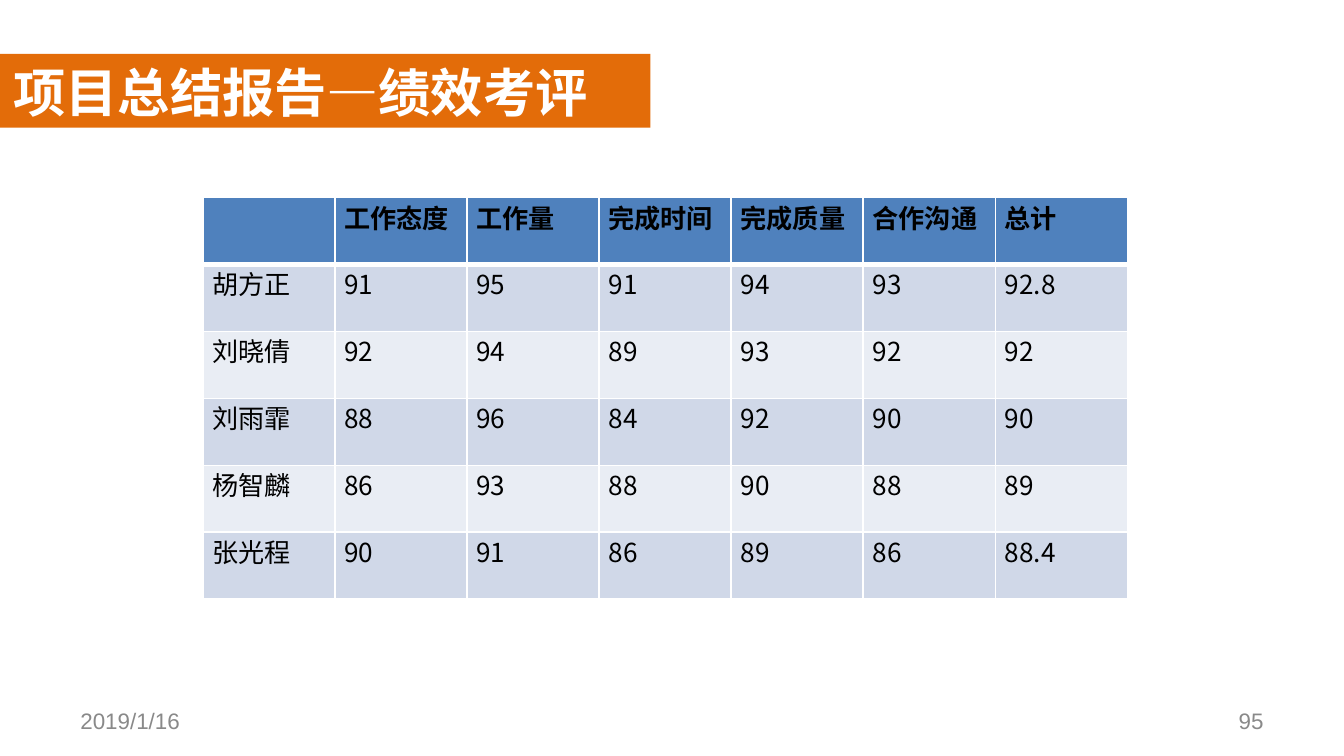
from pptx import Presentation
from pptx.dml.color import RGBColor
from pptx.enum.shapes import MSO_SHAPE
from pptx.enum.text import MSO_ANCHOR, MSO_AUTO_SIZE, PP_ALIGN
from pptx.oxml.ns import qn
from pptx.util import Inches, Pt
from lxml import etree

RECT = MSO_SHAPE.RECTANGLE
TOP, MID = MSO_ANCHOR.TOP, MSO_ANCHOR.MIDDLE
LEFT, RIGHT, JUST = PP_ALIGN.LEFT, PP_ALIGN.RIGHT, PP_ALIGN.JUSTIFY
FIT = MSO_AUTO_SIZE.SHAPE_TO_FIT_TEXT

HEX = {"white": "FFFFFF", "bar": "E36C09", "gray": "898989", "black": "000000",
       "head": "4F81BD", "odd": "D0D8E8", "even": "E9EDF4"}
INK = {name: RGBColor.from_string(code) for name, code in HEX.items()}


def write(frame, text, size=14, font="Arial", color="black", bold=False,
          align=LEFT, anchor=TOP):
    frame.word_wrap = True
    frame.vertical_anchor = anchor
    para = frame.paragraphs[0]
    para.alignment = align
    run = para.add_run()
    run.text = text
    run.font.size = Pt(size)
    run.font.name = font
    run.font.bold = bold
    run.font.color.rgb = INK[color]


def edge(cell, sides):
    props = cell._tc.get_or_add_tcPr()
    for spot, (side, width) in enumerate(sides.items()):
        line = etree.Element(qn("a:ln" + side), w=str(Pt(width)))
        fill = etree.SubElement(line, qn("a:solidFill"))
        etree.SubElement(fill, qn("a:srgbClr"), val=HEX["white"])
        props.insert(spot, line)


deck = Presentation()
deck.slide_width = Inches(10)
deck.slide_height = Inches(10 * 9 / 16)
slide = deck.slides.add_slide(deck.slide_layouts[5])
shapes = slide.shapes

for top, width, height, color in [(0.69, 10, 4.49, "white"), (0.4, 4.84, 0.55, "bar")]:
    band = shapes.add_shape(RECT, 0, Inches(top), Inches(width), Inches(height))
    band.shadow.inherit = False
    band.fill.solid()
    band.fill.fore_color.rgb = INK[color]
    band.line.fill.background()
    if color == "white":
        tint = band.fill._xPr.find(".//" + qn("a:srgbClr"))
        etree.SubElement(tint, qn("a:alpha")).set("val", "50000")

title = shapes.title
title.left, title.top = 0, Inches(0.4)
title.width, title.height = Inches(4.84), Inches(0.57)
write(title.text_frame, "项目总结报告—绩效考评", size=28, font="Calibri",
      color="white", bold=True)
title.text_frame.auto_size = FIT
shapes._spTree.append(title._element)

for left, text, align in [(0.5, "2019/1/16", LEFT), (7.17, "95", RIGHT)]:
    foot = shapes.add_textbox(Inches(left), Inches(5.21), Inches(2.33), Inches(0.3))
    write(foot.text_frame, text, size=12, color="gray", align=align, anchor=MID)

rows = [
    ["", "工作态度", "工作量", "完成时间", "完成质量", "合作沟通", "总计"],
    ["胡方正", "91", "95", "91", "94", "93", "92.8"],
    ["刘晓倩", "92", "94", "89", "93", "92", "92"],
    ["刘雨霏", "88", "96", "84", "92", "90", "90"],
    ["杨智麟", "86", "93", "88", "90", "88", "89"],
    ["张光程", "90", "91", "86", "89", "86", "88.4"],
]
grid = shapes.add_table(len(rows), len(rows[0]), Inches(1.51), Inches(1.47),
                        Inches(6.88), Inches(2.99)).table
for r, row in enumerate(rows):
    fill = "head" if r == 0 else "odd" if r % 2 else "even"
    for c, text in enumerate(row):
        cell = grid.cell(r, c)
        cell.fill.solid()
        cell.fill.fore_color.rgb = INK[fill]
        cell.margin_left = cell.margin_right = Inches(0.07)
        cell.margin_top = cell.margin_bottom = 0
        edge(cell, {"L": 1, "R": 1, "T": 3 if r == 1 else 1, "B": 1 if r else 3})
        if text:
            font = "Noto Sans CJK SC" if r and c else "Times New Roman"
            write(cell.text_frame, text, font=font, bold=r == 0, align=JUST)

deck.save("out.pptx")
